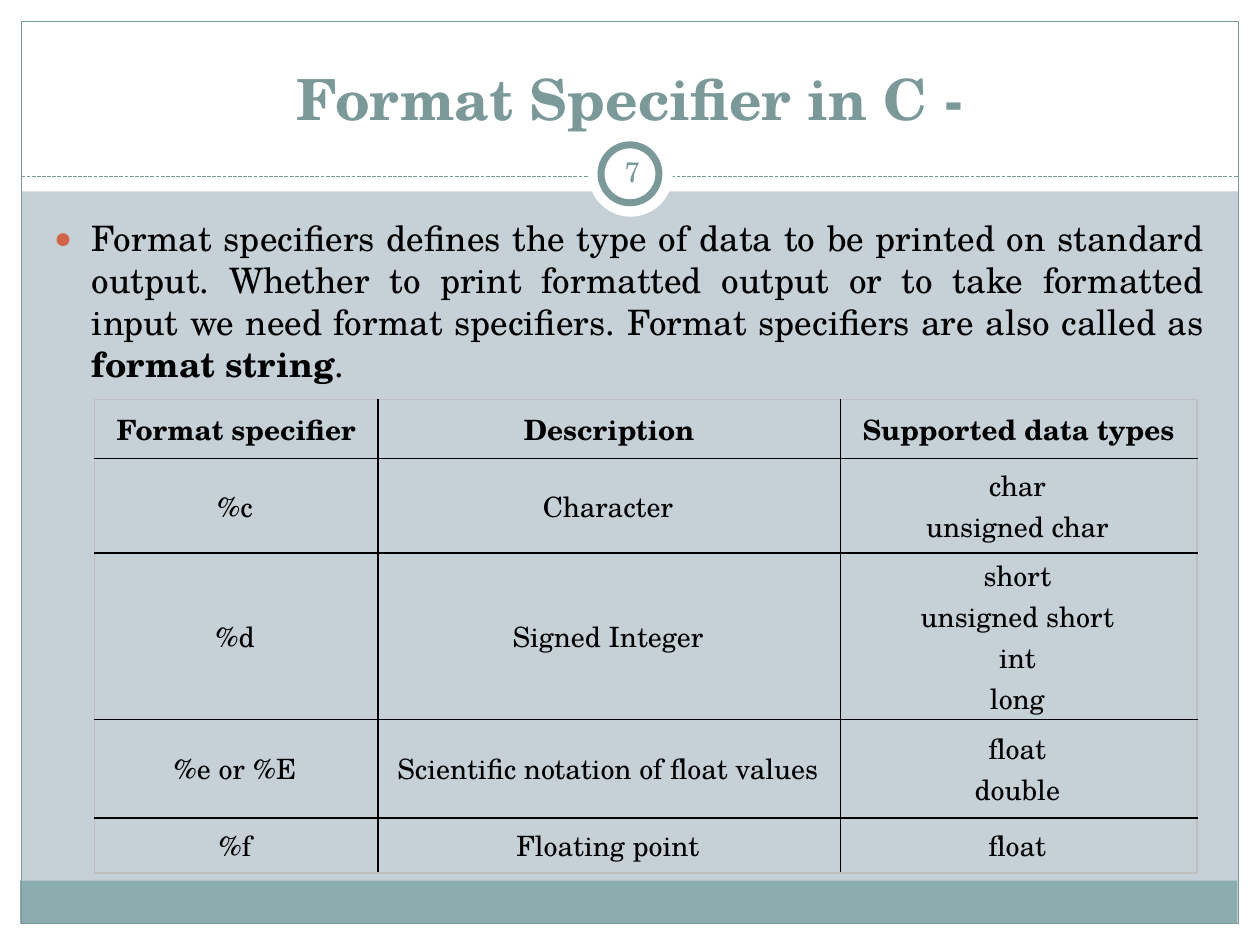
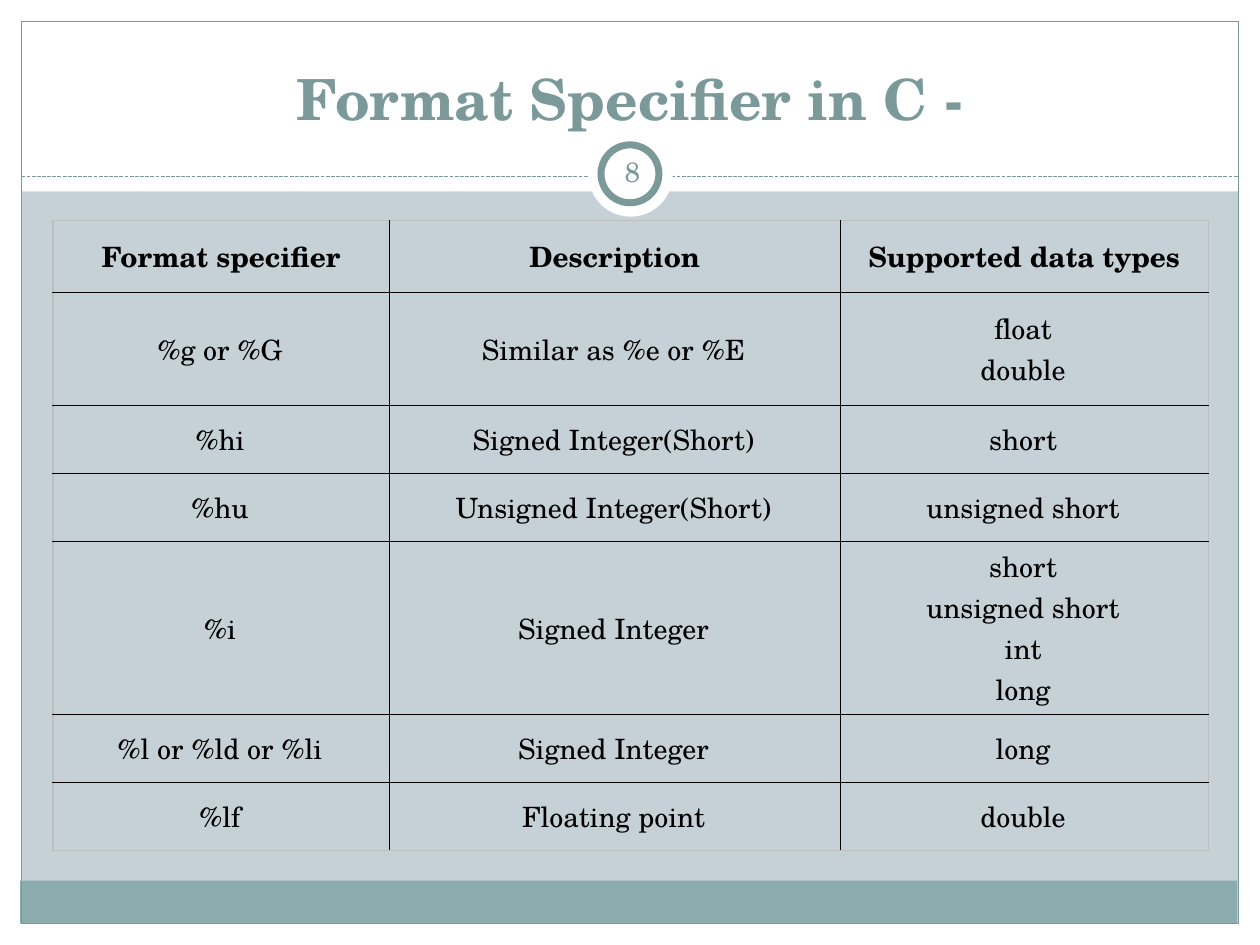
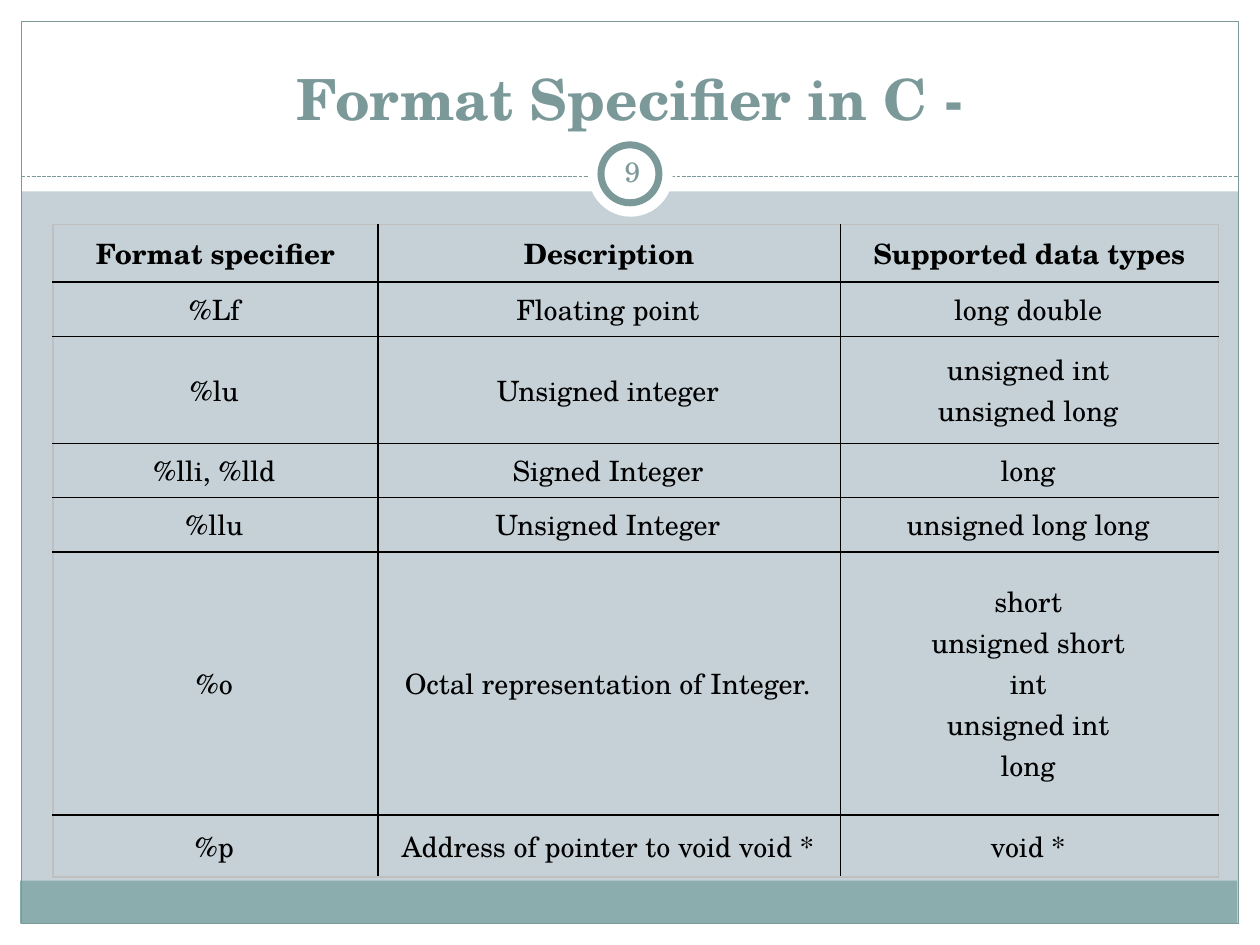
from lxml.etree import SubElement
from pptx import Presentation
from pptx.dml.color import RGBColor
from pptx.enum.dml import MSO_LINE
from pptx.enum.shapes import MSO_CONNECTOR, MSO_SHAPE
from pptx.enum.text import MSO_ANCHOR, MSO_AUTO_SIZE, PP_ALIGN
from pptx.oxml.ns import qn
from pptx.util import Pt

SCALE = 9144  # EMU per px, 100 px to the inch
TEAL, BAND, BACK, WHITE = "7C999A", "8CADAE", "C5D1D7", "FFFFFF"
BLACK, GREY, RED = "000000", "BFBFBF", "D16349"
HEAD = ("Format specifier", "Description", "Supported data types")


def px(*nums):
    return [n * SCALE for n in nums]


def ink(code):
    return RGBColor.from_string(code)


class Deck:
    font = "TeX Gyre Schola"

    def __init__(self):
        self.prs = Presentation()
        self.prs.slide_width, self.prs.slide_height = px(1000, 750)
        fill = self.prs.slide_master.background.fill
        fill.solid()
        fill.fore_color.rgb = ink(BACK)
        self.slide = None

    def new(self, layout):
        self.slide = self.prs.slides.add_slide(self.prs.slide_layouts[layout])

    def run(self, para, text, size, color=BLACK, bold=False):
        font = para.add_run().font
        run = para.runs[-1]
        run.text = text
        font.name, font.size, font.bold = self.font, Pt(size), bold
        font.color.rgb = ink(color)

    def place(self, shape, box):
        shape.left, shape.top, shape.width, shape.height = px(*box)

    def inset(self, item, left, top, right, bottom):
        item.margin_left, item.margin_top = px(left, top)
        item.margin_right, item.margin_bottom = px(right, bottom)

    def shape(self, kind, box, fill=None, line=None, width=0.75):
        shape = self.slide.shapes.add_shape(kind, *px(*box))
        shape.shadow.inherit = False
        if fill:
            shape.fill.solid()
            shape.fill.fore_color.rgb = ink(fill)
        else:
            shape.fill.background()
        if line:
            shape.line.color.rgb = ink(line)
            shape.line.width = Pt(width)
        else:
            shape.line.fill.background()
        return shape

    def rule(self, ends):
        rule = self.slide.shapes.add_connector(MSO_CONNECTOR.STRAIGHT, *px(*ends))
        rule.line.color.rgb = ink(TEAL)
        rule.line.width = Pt(0.75)
        rule.line.dash_style = MSO_LINE.SQUARE_DOT
        SubElement(rule.element.spPr, qn("a:effectLst"))
        return rule

    def frame(self):
        """Draw the shared frame and move it to the slide master."""
        rect, oval = MSO_SHAPE.RECTANGLE, MSO_SHAPE.OVAL
        edges = ((0, 733, 1000, 17), (0, 0, 1000, 152),
                 (0, 0, 17, 750), (983, 0, 17, 750))
        parts = [self.shape(rect, box, WHITE) for box in edges]
        parts += [
            self.shape(rect, (16, 699, 966, 34), BAND),
            self.shape(rect, (17, 17, 966, 716), line=TEAL),
            self.rule((17, 140, 983, 140)),
            self.shape(oval, (467, 105, 67, 67), WHITE),
            self.shape(oval, (477, 115, 46, 46), WHITE, TEAL, 4),
        ]
        tree = self.prs.slide_master.shapes.element
        for num, part in enumerate(parts, 20):
            part.element.xpath(".//p:cNvPr")[0].set("id", str(num))
            tree.append(part.element)

    def title(self, text):
        title = self.slide.shapes.title
        self.place(title, (69, 40, 862, 70))
        frame = title.text_frame
        frame.auto_size = MSO_AUTO_SIZE.NONE
        frame.vertical_anchor = MSO_ANCHOR.BOTTOM
        para = frame.paragraphs[0]
        para.alignment = PP_ALIGN.CENTER
        self.run(para, text, 32.4, TEAL, True)

    def number(self, num):
        frame = self.slide.shapes.add_textbox(*px(477, 112, 50, 48)).text_frame
        frame.word_wrap = True
        frame.vertical_anchor = MSO_ANCHOR.MIDDLE
        self.inset(frame, 5, 5, 5, 5)
        para = frame.paragraphs[0]
        para.alignment = PP_ALIGN.CENTER
        self.run(para, str(num), 16, TEAL)

    def body(self, runs):
        body = self.slide.placeholders[1]
        self.place(body, (33, 167, 933, 438))
        frame = body.text_frame
        frame.auto_size = MSO_AUTO_SIZE.NONE
        para = frame.paragraphs[0]
        props = para._p.get_or_add_pPr()
        left, hang = px(30, -30)
        props.set("marL", str(left))
        props.set("indent", str(hang))
        tint = SubElement(props, qn("a:buClr"))
        SubElement(tint, qn("a:srgbClr"), val=RED)
        SubElement(props, qn("a:buSzPct"), val="85000")
        SubElement(props, qn("a:buChar"), char="●")
        para.alignment = PP_ALIGN.JUSTIFY
        para.space_before = Pt(0)
        for text, bold in runs:
            self.run(para, text, 20, bold=bold)

    def edge(self, cell, side, color):
        props = cell._tc.get_or_add_tcPr()
        line = SubElement(props, qn("a:ln" + side), w=str(Pt(1)))
        fill = SubElement(line, qn("a:solidFill"))
        SubElement(fill, qn("a:srgbClr"), val=color)

    def cell(self, cell, text, head):
        cell.fill.background()
        cell.vertical_anchor = MSO_ANCHOR.MIDDLE
        self.inset(cell, *((4, 2, 4, 2) if head else (1, 1, 3, 1)))
        para = cell.text_frame.paragraphs[0]
        para.alignment = PP_ALIGN.CENTER
        if not head:
            para.line_spacing = Pt(23.4)
        for i, line in enumerate(text.split("\n")):
            if i:
                para.add_line_break()
            self.run(para, line, 16, bold=head)

    def table(self, left, top, cols, highs, rows):
        rows = [HEAD, *rows]
        box = px(left, top, sum(cols), sum(highs))
        table = self.slide.shapes.add_table(len(rows), len(cols), *box).table
        table.first_row = table.horz_banding = False
        for col, wide in zip(table.columns, px(*cols)):
            col.width = wide
        for row, high in zip(table.rows, px(*highs)):
            row.height = high
        for r, row in enumerate(rows):
            for c, text in enumerate(row):
                cell = table.cell(r, c)
                # Outer edges are grey, inner ones black
                outer = {"L": c == 0, "R": c == len(cols) - 1,
                         "T": r == 0, "B": r == len(rows) - 1}
                for side, out in outer.items():
                    self.edge(cell, side, GREY if out else BLACK)
                self.cell(cell, text, r == 0)


INTRO = (
    ("Format specifiers defines the type of data to be printed on standard "
     "output. Whether to print formatted output or to take formatted input we "
     "need format specifiers. Format specifiers are also called as ", False),
    ("format string", True),
    (".", False),
)

# Each page: body runs, then table left, top, column widths, row heights, rows
PAGES = (
    (INTRO, 75, 317, (225, 367, 283), (47, 75, 131, 78, 44), (
        ("%c", "Character", "char\nunsigned char"),
        ("%d", "Signed Integer", "short\nunsigned short\nint\nlong"),
        ("%e or %E", "Scientific notation of float values", "float\ndouble"),
        ("%f", "Floating point", "float"),
    )),
    (None, 42, 175, (267, 358, 292), (57, 90, 54, 54, 137, 54, 54), (
        ("%g or %G", "Similar as %e or %E", "float\ndouble"),
        ("%hi", "Signed Integer(Short)", "short"),
        ("%hu", "Unsigned Integer(Short)", "unsigned short"),
        ("%i", "Signed Integer", "short\nunsigned short\nint\nlong"),
        ("%l or %ld or %li", "Signed Integer", "long"),
        ("%lf", "Floating point", "double"),
    )),
    (None, 42, 178, (258, 367, 300), (46, 43, 85, 43, 43, 209, 49), (
        ("%Lf", "Floating point", "long double"),
        ("%lu", "Unsigned integer", "unsigned int\nunsigned long"),
        ("%lli, %lld", "Signed Integer", "long"),
        ("%llu", "Unsigned Integer", "unsigned long long"),
        ("%o", "Octal representation of Integer.",
         "short\nunsigned short\nint\nunsigned int\nlong"),
        ("%p", "Address of pointer to void void *", "void *"),
    )),
)


def main():
    deck = Deck()
    for num, (intro, *grid) in enumerate(PAGES, 7):
        deck.new(1 if intro else 5)
        if num == 7:
            deck.frame()
        deck.title("Format Specifier in C -")
        deck.number(num)
        if intro:
            deck.body(intro)
        deck.table(*grid)
    deck.prs.save("out.pptx")


if __name__ == "__main__":
    main()
